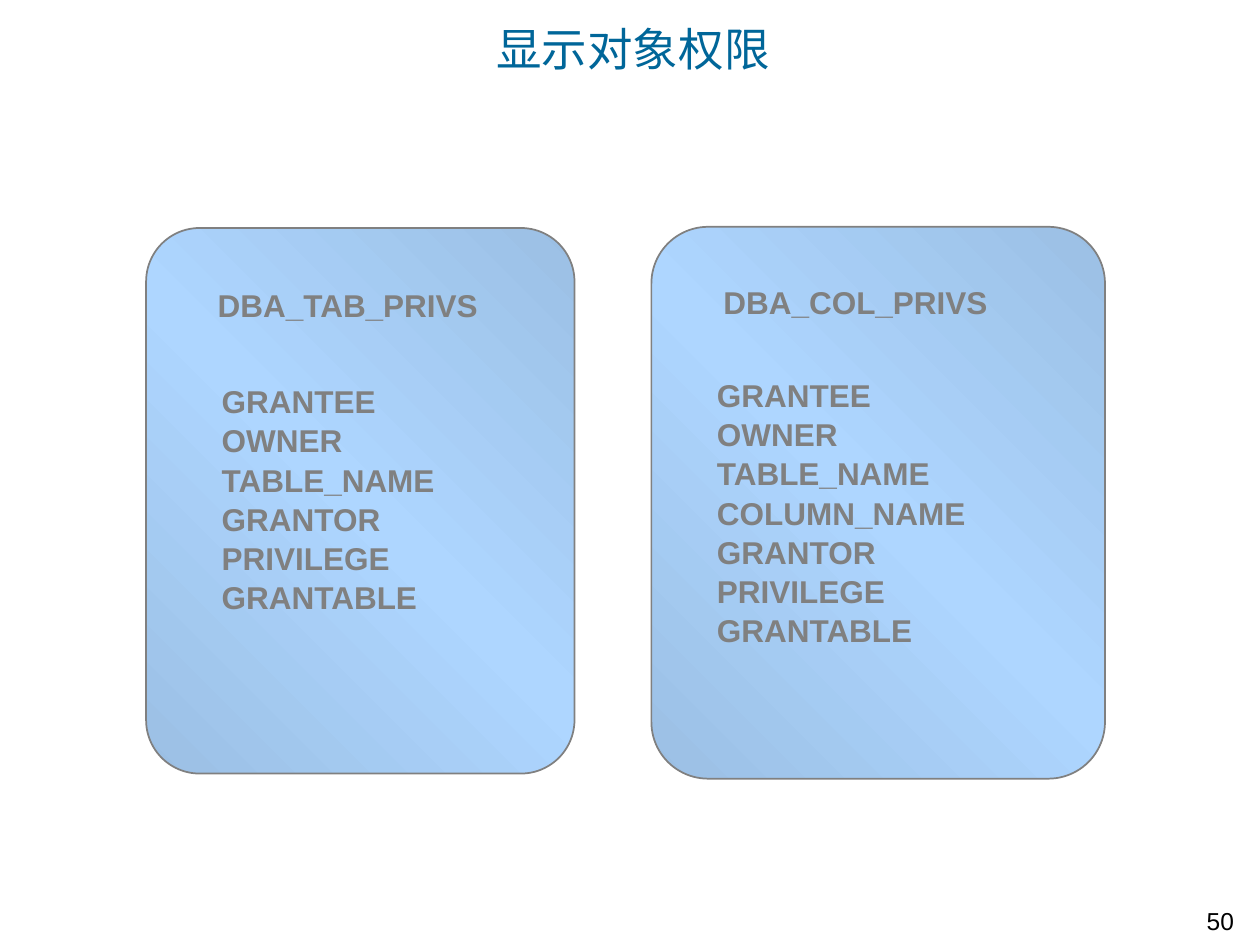
from copy import deepcopy
from dataclasses import dataclass

from pptx import Presentation
from pptx.dml.color import RGBColor
from pptx.enum.shapes import MSO_SHAPE as Shape
from pptx.enum.text import MSO_ANCHOR as Anchor, MSO_AUTO_SIZE as Fit, PP_ALIGN as Align
from pptx.oxml.ns import qn
from pptx.util import Inches, Pt

TEAL = RGBColor(0x00, 0x66, 0x99)
GRAY = RGBColor(0x80, 0x80, 0x80)
BLACK = RGBColor(0, 0, 0)
EDGE = RGBColor(0x9B, 0xBF, 0xE4)
GLOW = RGBColor(0xAE, 0xD6, 0xFF)
CORNER = 0.125

Box = tuple[float, float, float, float]


@dataclass
class View:
    name: str
    columns: list[str]
    card: Box
    head: Box
    body: Box


VIEWS = [
    View("DBA_TAB_PRIVS",
         ["GRANTEE", "OWNER", "TABLE_NAME", "GRANTOR", "PRIVILEGE", "GRANTABLE"],
         (1.16, 1.81, 3.4, 4.33), (1.62, 2.22, 2.28, 0.4), (1.66, 2.97, 1.91, 1.9)),
    View("DBA_COL_PRIVS",
         ["GRANTEE", "OWNER", "TABLE_NAME", "COLUMN_NAME", "GRANTOR", "PRIVILEGE",
          "GRANTABLE"],
         (5.17, 1.8, 3.6, 4.38), (5.64, 2.2, 2.3, 0.4), (5.59, 2.92, 2.24, 2.5)),
]


def place(shape, box: Box) -> None:
    shape.left, shape.top, shape.width, shape.height = map(Inches, box)


def write(shape, text: str, size: int, color: RGBColor, bold: bool = False,
          align=Align.LEFT, anchor=Anchor.TOP, wrap: bool = False) -> None:
    frame = shape.text_frame
    frame.text = text
    frame.auto_size = Fit.NONE
    frame.word_wrap = wrap
    frame.vertical_anchor = anchor
    for para in frame.paragraphs:
        para.alignment = align
        para.space_before = Pt(0)
        for run in para.runs:
            font = run.font
            font.name, font.size, font.bold = "Arial", Pt(size), bold
            font.color.rgb = color


def add_text(slide, box: Box, text: str, size: int, color: RGBColor, **style) -> None:
    write(slide.shapes.add_textbox(*map(Inches, box)), text, size, color,
          align=Align.CENTER, **style)


def add_card(slide, box: Box) -> None:
    card = slide.shapes.add_shape(Shape.ROUNDED_RECTANGLE, *map(Inches, box))
    card.adjustments[0] = CORNER
    card.shadow.inherit = False
    card.line.color.rgb = GRAY
    card.line.width = Pt(1)
    # Dark corners with a light band between them
    card.fill.gradient()
    card.fill.gradient_angle = 225
    for stop in card.fill.gradient_stops:
        stop.color.rgb = EDGE
    first = card._element.spPr.find(qn("a:gradFill")).find(qn("a:gsLst"))[0]
    first.addnext(deepcopy(first))
    middle = card.fill.gradient_stops[1]
    middle.position = 0.5
    middle.color.rgb = GLOW


def fill_list(holder, view: View) -> None:
    place(holder, view.body)
    write(holder, "\n".join(view.columns), 18, GRAY, bold=True)
    for para in holder.text_frame.paragraphs:
        para.line_spacing = 1.04
        props = para._p.get_or_add_pPr()
        props.set("marL", "0")
        props.set("indent", "0")
        props.append(props.makeelement(qn("a:buNone"), {}))


def main() -> None:
    deck = Presentation()
    deck.slide_width, deck.slide_height = Inches(10), Inches(7.5)
    slide = deck.slides.add_slide(deck.slide_layouts[3])

    # Title
    title = slide.shapes.title
    place(title, (1.5, 0.05, 8.5, 0.67))
    write(title, "显示对象权限", 26, TEAL, anchor=Anchor.MIDDLE, wrap=True)
    title.text_frame.margin_left = Inches(2.44)

    # Cards with their headings and column lists
    for spot, view in enumerate(VIEWS, start=1):
        add_card(slide, view.card)
        add_text(slide, view.head, view.name, 18, GRAY, bold=True, anchor=Anchor.MIDDLE)
        holder = slide.placeholders[spot]
        fill_list(holder, view)
        slide.shapes._spTree.append(holder._element)  # above its card

    # Page number
    add_text(slide, (9.14, 7.14, 1.09, 0.34), "50", 14, BLACK)

    deck.save("out.pptx")


if __name__ == "__main__":
    main()
